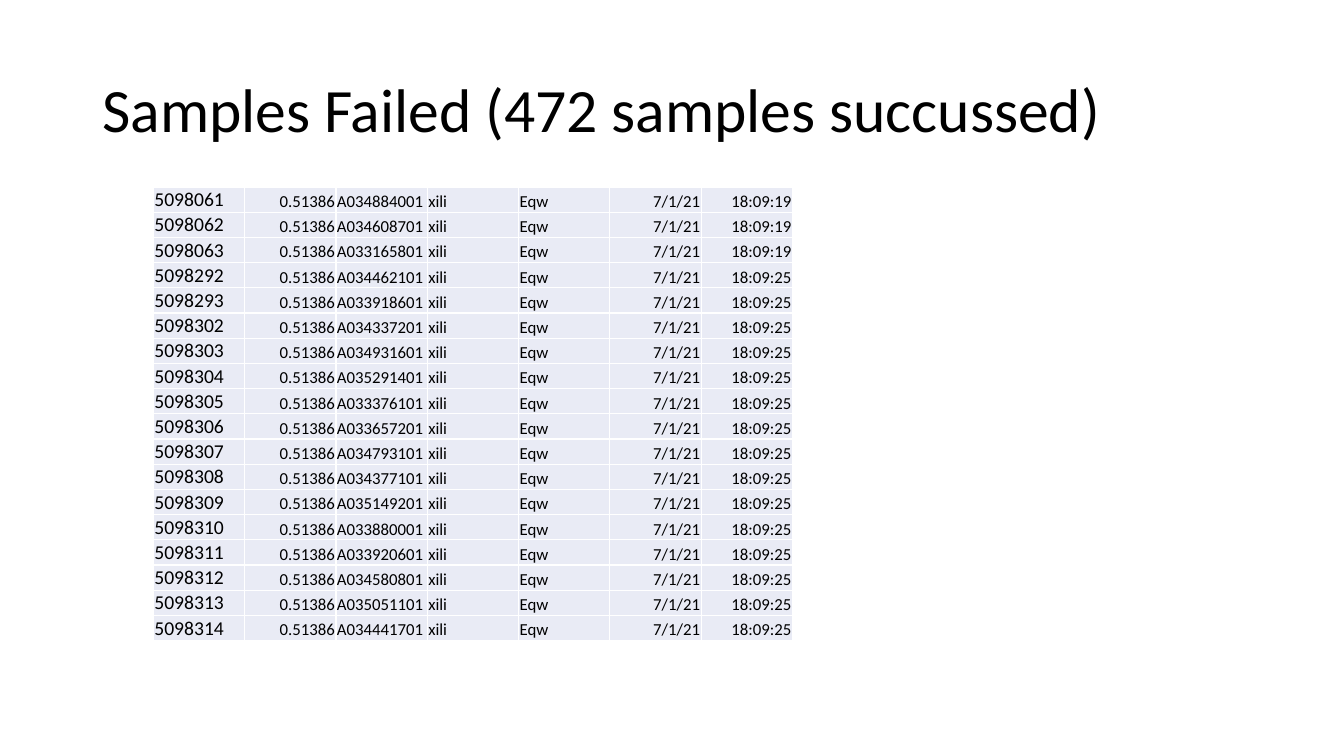
import pptx
import pptx.dml.color
import pptx.enum.text
import pptx.oxml
import pptx.oxml.ns
import pptx.util

PX = 9525  # EMU per px, 96 px to the inch
FONT = "Calibri"
COLORS = {"text": "000000", "cell": "E9EBF5", "line": "FFFFFF"}
ALIGN = pptx.enum.text.PP_ALIGN
ANCHOR = pptx.enum.text.MSO_ANCHOR

# Job number, sample, time
JOBS = [
    ("5098061", "A034884001", "18:09:19"),
    ("5098062", "A034608701", "18:09:19"),
    ("5098063", "A033165801", "18:09:19"),
    ("5098292", "A034462101", "18:09:25"),
    ("5098293", "A033918601", "18:09:25"),
    ("5098302", "A034337201", "18:09:25"),
    ("5098303", "A034931601", "18:09:25"),
    ("5098304", "A035291401", "18:09:25"),
    ("5098305", "A033376101", "18:09:25"),
    ("5098306", "A033657201", "18:09:25"),
    ("5098307", "A034793101", "18:09:25"),
    ("5098308", "A034377101", "18:09:25"),
    ("5098309", "A035149201", "18:09:25"),
    ("5098310", "A033880001", "18:09:25"),
    ("5098311", "A033920601", "18:09:25"),
    ("5098312", "A034580801", "18:09:25"),
    ("5098313", "A035051101", "18:09:25"),
    ("5098314", "A034441701", "18:09:25"),
]
ROWS = [(job, "0.51386", sample, "xili", "Eqw", "7/1/21", time)
        for job, sample, time in JOBS]
RIGHT = (1, 5, 6)  # columns set flush right


def px(count):
    return pptx.util.Emu(count * PX)


def color(name):
    return pptx.dml.color.RGBColor.from_string(COLORS[name])


def write(frame, text, size, align=ALIGN.LEFT):
    frame.text = text
    para = frame.paragraphs[0]
    para.alignment = align
    font = para.runs[0].font
    font.name, font.size = FONT, pptx.util.Pt(size)
    font.color.rgb = color("text")
    return para


def add_title(slide, text, left, top, width, height):
    box = slide.shapes.add_textbox(px(left), px(top), px(width), px(height))
    frame = box.text_frame
    frame.word_wrap = True
    frame.vertical_anchor = ANCHOR.MIDDLE
    write(frame, text, 44).line_spacing = 0.9


def add_lines(cell):
    props = cell._tc.get_or_add_tcPr()
    for side in ("lnL", "lnR", "lnT", "lnB"):
        props.append(pptx.oxml.parse_xml(
            f'<a:{side} {pptx.oxml.ns.nsdecls("a")} w="12700"><a:solidFill>'
            f'<a:srgbClr val="{COLORS["line"]}"/></a:solidFill></a:{side}>'))


def fill_cell(cell, text, col):
    cell.margin_left = cell.margin_right = cell.margin_top = px(1)
    cell.margin_bottom = 0
    cell.vertical_anchor = ANCHOR.BOTTOM if col else ANCHOR.MIDDLE
    add_lines(cell)
    cell.fill.solid()
    cell.fill.fore_color.rgb = color("cell")
    align = ALIGN.RIGHT if col in RIGHT else ALIGN.LEFT
    write(cell.text_frame, text, 12 if col else 14, align)


def add_grid(slide, rows, left, top, wide, high):
    count = len(rows[0])
    table = slide.shapes.add_table(
        len(rows), count, px(left), px(top),
        px(wide * count), px(high * len(rows))).table
    table.first_row = table.horz_banding = False
    for column in table.columns:
        column.width = px(wide)
    for r, row in enumerate(rows):
        table.rows[r].height = px(high)
        for c, text in enumerate(row):
            fill_cell(table.cell(r, c), text, c)


def main():
    deck = pptx.Presentation()
    deck.slide_width, deck.slide_height = px(1280), px(720)
    slide = deck.slides.add_slide(deck.slide_layouts[6])

    # Heading
    add_title(slide, "Samples Failed (472 samples succussed)",
              88, 38, 1104, 139)

    # Failed jobs
    add_grid(slide, ROWS, 146, 178, 87, 24)

    deck.save("out.pptx")


if __name__ == "__main__":
    main()
